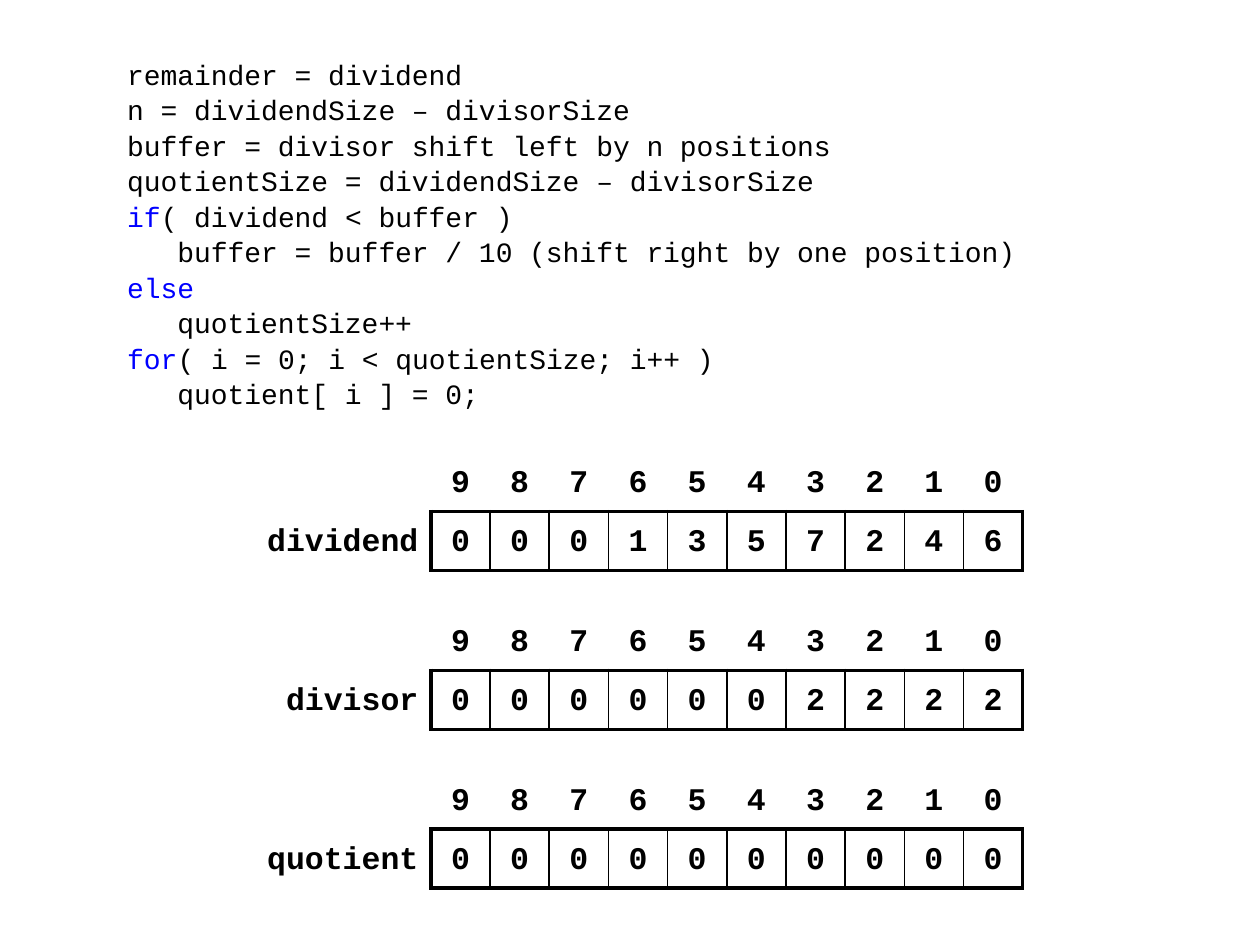
"""Build a slide with division pseudocode above three digit-array tables."""
from lxml import etree
from pptx import Presentation
from pptx import util as u
from pptx.dml.color import RGBColor
from pptx.enum import text
from pptx.oxml import ns

BLACK = RGBColor(0, 0, 0)
BLUE = RGBColor(0, 0, 255)
FONT = "Courier New"
NO_STYLE = "{2D5ABB26-0587-4C30-8999-92F81FD0307C}"
THICK, THIN = 2.25, 1
CELL = 0.47
LABEL_WIDTH = 1.57
DIGITS = 10
TABLE_LEFT, TABLE_TOP, TABLE_PITCH = 1.85, 3.59, 1.26

CODE = [
    ("", "remainder = dividend"),
    ("", "n = dividendSize – divisorSize"),
    ("", "buffer = divisor shift left by n positions"),
    ("", "quotientSize = dividendSize – divisorSize"),
    ("if", "( dividend < buffer )"),
    ("", "   buffer = buffer / 10 (shift right by one position)"),
    ("else", ""),
    ("", "   quotientSize++"),
    ("for", "( i = 0; i < quotientSize; i++ )"),
    ("", "   quotient[ i ] = 0;"),
]
ARRAYS = [("dividend", "0001357246"), ("divisor", "0000002222"), ("quotient", "0000000000")]


def add_run(paragraph, words, size, color, bold=False):
    run = paragraph.add_run()
    run.text = words
    run.font.name = FONT
    run.font.size = u.Pt(size)
    run.font.bold = bold
    run.font.color.rgb = color


def add_borders(cell, widths):
    properties = cell._tc.get_or_add_tcPr()
    for side in "LRTB":
        width = widths.get(side, 0)
        line = etree.SubElement(properties, ns.qn("a:ln" + side), w=str(u.Pt(width)))
        if width:
            fill = etree.SubElement(line, ns.qn("a:solidFill"))
            etree.SubElement(fill, ns.qn("a:srgbClr"), val=str(BLACK))
        else:
            etree.SubElement(line, ns.qn("a:noFill"))


presentation = Presentation()
presentation.slide_width, presentation.slide_height = u.Inches(10), u.Inches(7.5)
slide = presentation.slides.add_slide(presentation.slide_layouts[1])
title, body = slide.placeholders
title.element.getparent().remove(title.element)

body.left, body.top = u.Inches(0.91), u.Inches(0.44)
body.width, body.height = u.Inches(8.19), u.Inches(2.83)
frame = body.text_frame
frame.word_wrap = True
frame.auto_size = text.MSO_AUTO_SIZE.NONE
frame.vertical_anchor = text.MSO_ANCHOR.MIDDLE
for index, (keyword, rest) in enumerate(CODE):
    paragraph = frame.add_paragraph() if index else frame.paragraphs[0]
    paragraph.space_before = u.Pt(1.1)
    paragraph.space_after = u.Pt(0)
    properties = paragraph._p.get_or_add_pPr()
    properties.set("marL", "0")
    properties.set("indent", "0")
    etree.SubElement(properties, ns.qn("a:buNone"))
    for words, color in ((keyword, BLUE), (rest, BLACK)):
        if words:
            add_run(paragraph, words, 16, color)

for index, (name, values) in enumerate(ARRAYS):
    frame = slide.shapes.add_table(
        2, DIGITS + 1, u.Inches(TABLE_LEFT), u.Inches(TABLE_TOP + index * TABLE_PITCH),
        u.Inches(LABEL_WIDTH + DIGITS * CELL), u.Inches(2 * CELL))
    table = frame.table
    table.first_row = table.horz_banding = False
    table._tbl.tblPr.find(ns.qn("a:tableStyleId")).text = NO_STYLE
    for row in table.rows:
        row.height = u.Inches(CELL)
    for number, column in enumerate(table.columns):
        column.width = u.Inches(CELL if number else LABEL_WIDTH)

    positions = [str(DIGITS - 1 - number) for number in range(DIGITS)]
    for row, contents in enumerate((["", *positions], [name, *values])):
        for column, words in enumerate(contents):
            cell = table.cell(row, column)
            cell.margin_left = cell.margin_right = u.Inches(0.1)
            cell.margin_top = cell.margin_bottom = u.Inches(0.04)
            if row and column:
                borders = {"L": THICK if column == 1 else THIN,
                           "R": THICK if column == DIGITS else THIN,
                           "T": THICK, "B": THICK}
            elif row:
                borders = {"R": THICK}
            else:
                borders = {"B": THICK} if column else {}
            add_borders(cell, borders)
            cell.fill.background()
            paragraph = cell.text_frame.paragraphs[0]
            paragraph.alignment = text.PP_ALIGN.CENTER if column else text.PP_ALIGN.RIGHT
            paragraph.line_spacing = 1.25
            if words:
                add_run(paragraph, words, 18, BLACK, bold=True)

presentation.save("out.pptx")
